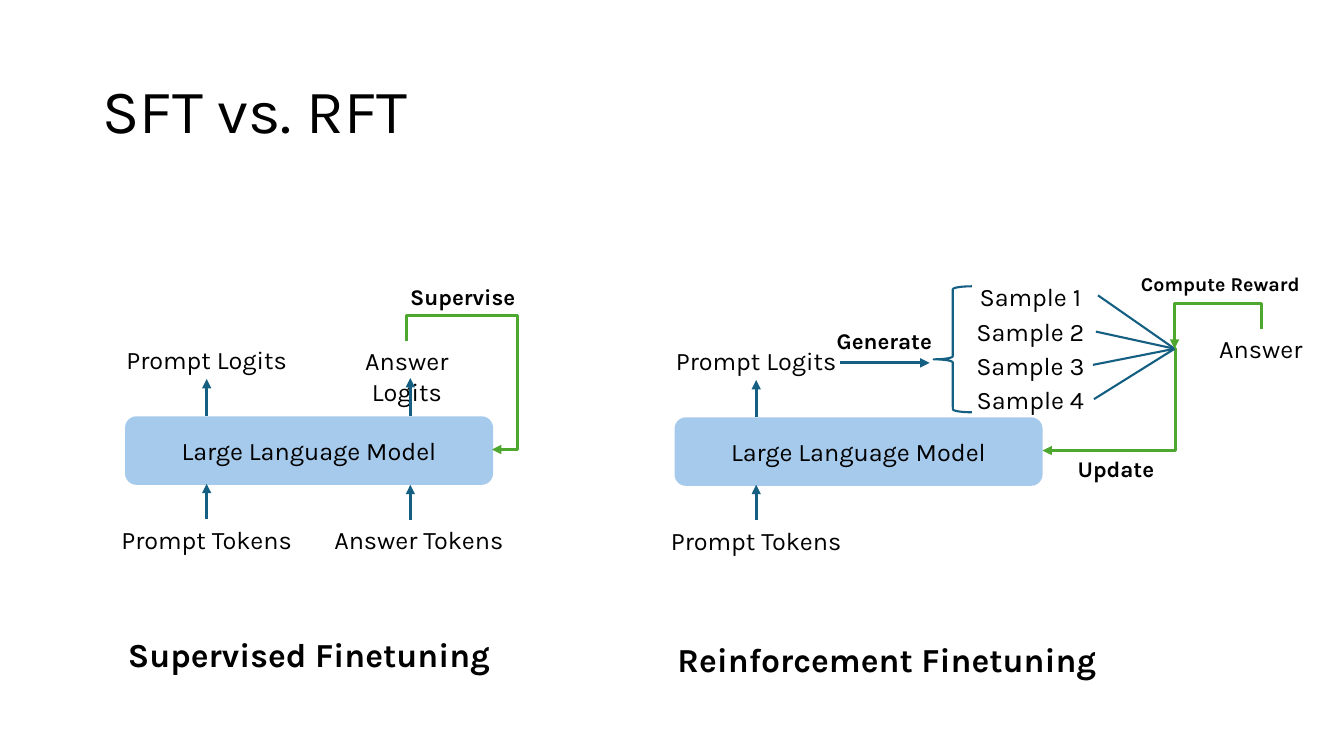
from lxml.etree import SubElement
from pptx import Presentation
from pptx.dml.color import RGBColor
from pptx.enum.shapes import MSO_CONNECTOR, MSO_SHAPE
from pptx.enum.text import MSO_ANCHOR, PP_ALIGN
from pptx.oxml.ns import qn
from pptx.util import Inches, Pt

BLACK = RGBColor(0x00, 0x00, 0x00)
SKY = RGBColor(0xA6, 0xCA, 0xEC)
TEAL = RGBColor(0x15, 0x60, 0x82)
GREEN = RGBColor(0x4E, 0xA7, 0x2E)


class Board:
    """Draws styled text, boxes and arrows on one slide."""

    def __init__(self, slide, font="Karla"):
        self.shapes = slide.shapes
        self.font = font

    def letter(self, shape, text, size, bold, align):
        frame = shape.text_frame
        frame.word_wrap = True
        frame.text = text
        para = frame.paragraphs[0]
        para.alignment = align
        for run in para.runs:
            run.font.name = self.font
            run.font.size = Pt(size)
            run.font.bold = bold
            run.font.color.rgb = BLACK
        return frame

    def text(self, text, left, top, width, height=0.4, size=18, bold=False,
             align=PP_ALIGN.CENTER):
        box = self.shapes.add_textbox(
            Inches(left), Inches(top), Inches(width), Inches(height))
        return self.letter(box, text, size, bold, align)

    def label(self, text, left, top, width, size=16):
        self.text(text, left, top, width, 0.37, size, True, PP_ALIGN.LEFT)

    def title(self, text):
        frame = self.text(text, 0.92, 0.4, 11.5, 1.45, 44, align=PP_ALIGN.LEFT)
        frame.vertical_anchor = MSO_ANCHOR.MIDDLE
        frame.paragraphs[0].line_spacing = 0.9

    def shape(self, kind, left, top, width, height):
        shape = self.shapes.add_shape(
            kind, Inches(left), Inches(top), Inches(width), Inches(height))
        shape.shadow.inherit = False
        return shape

    def model(self, text, left, top):
        box = self.shape(MSO_SHAPE.ROUNDED_RECTANGLE, left, top, 3.65, 0.68)
        box.fill.solid()
        box.fill.fore_color.rgb = SKY
        box.line.fill.background()
        frame = self.letter(box, text, 18, False, PP_ALIGN.CENTER)
        frame.vertical_anchor = MSO_ANCHOR.MIDDLE

    def brace(self, left, top, width, height):
        brace = self.shape(MSO_SHAPE.LEFT_BRACE, left, top, width, height)
        brace.adjustments[0] = 0.08
        brace.adjustments[1] = 0.58
        brace.fill.background()
        self.stroke(brace, TEAL, 1.5)

    def stroke(self, shape, color, weight, arrow=False):
        shape.line.color.rgb = color
        shape.line.width = Pt(weight)
        if arrow:
            line = shape._element.spPr.find(qn("a:ln"))
            SubElement(line, qn("a:tailEnd"), type="triangle")

    def line(self, start, end, weight=2.25, arrow=True):
        points = [Inches(value) for value in (*start, *end)]
        line = self.shapes.add_connector(MSO_CONNECTOR.STRAIGHT, *points)
        self.stroke(line, TEAL, weight, arrow)
        SubElement(line._element.spPr, qn("a:effectLst"))

    def route(self, *points):
        first, *rest = [(Inches(x), Inches(y)) for x, y in points]
        trace = self.shapes.build_freeform(*first)
        trace.add_line_segments(rest, close=False)
        shape = trace.convert_to_shape()
        shape.shadow.inherit = False
        shape.fill.background()
        self.stroke(shape, GREEN, 2.25, True)

    def panel(self, left, top, head, head_top, width):
        self.model("Large Language Model", left, top)
        mid = left + 0.81
        self.text("Prompt Tokens", mid - 1.4, top + 1.02, 2.8)
        self.text("Prompt Logits", mid - 1.4, top - 0.76, 2.8)
        self.line((mid, top + 1.02), (mid, top + 0.67))
        self.line((mid, top), (mid, top - 0.37))
        self.label(head, left - 0.07, head_top, width, 24)


def main():
    deck = Presentation()
    deck.slide_width = Inches(13.33)
    deck.slide_height = Inches(7.5)
    board = Board(deck.slides.add_slide(deck.slide_layouts[6]))
    board.title("SFT vs. RFT")

    board.panel(1.24, 4.13, "Supervised Finetuning", 6.24, 3.79)
    board.text("Answer Logits", 3.18, 3.38, 1.71)
    board.text("Answer Tokens", 3.2, 5.15, 1.91)
    board.line((4.07, 5.16), (4.07, 4.81))
    board.line((4.07, 4.13), (4.07, 3.75))
    board.label("Supervise", 3.97, 2.76, 1.55)
    board.route((4.03, 3.38), (4.03, 3.13), (5.13, 3.13), (5.13, 4.46),
                (4.88, 4.46))

    board.panel(6.69, 4.14, "Reinforcement Finetuning", 6.29, 4.48)
    board.line((8.33, 3.6), (9.22, 3.6))
    board.label("Generate", 8.2, 3.2, 1.2)
    board.brace(9.26, 2.84, 0.38, 1.25)

    goal = (11.65, 3.46)
    board.route(goal, (11.66, 3.46), (11.66, 4.47), (10.34, 4.47))
    samples = [(2.74, 10.89, 2.93), (3.09, 10.87, 3.29),
               (3.43, 10.84, 3.62), (3.76, 10.85, 3.96)]
    for count, (top, x, y) in enumerate(samples, 1):
        board.text(f"Sample {count}", 9.55, top, 1.34)
        board.line((x, y), goal, 1.5, False)

    board.text("Answer", 11.65, 3.26, 1.71)
    board.label("Update", 10.59, 4.47, 1.03)
    board.route((12.51, 3.26), (12.51, 3.01), (11.65, 3.01), goal)
    board.text("Compute Reward", 10.88, 2.65, 2.45, 0.34, 14, True)
    deck.save("out.pptx")


if __name__ == "__main__":
    main()
